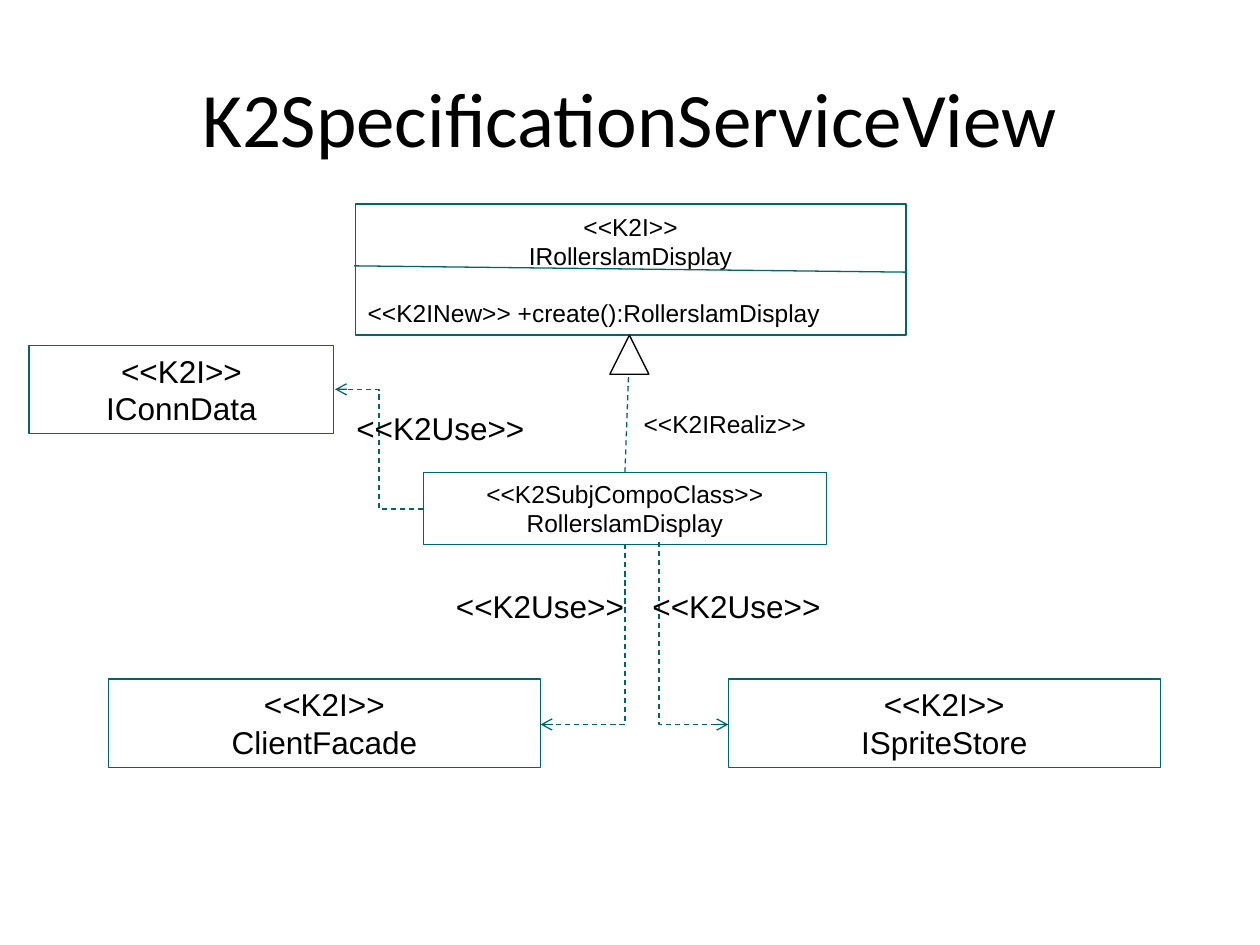
from pptx import Presentation
from pptx.dml.color import RGBColor
from pptx.enum.dml import MSO_LINE
from pptx.enum.shapes import MSO_CONNECTOR, MSO_SHAPE
from pptx.enum.text import MSO_ANCHOR, PP_ALIGN
from pptx.oxml.ns import qn
from pptx.util import Inches, Pt
from lxml import etree

CENTER, LEFT = PP_ALIGN.CENTER, PP_ALIGN.LEFT
MIDDLE, TOP = MSO_ANCHOR.MIDDLE, MSO_ANCHOR.TOP
STRAIGHT, ELBOW = MSO_CONNECTOR.STRAIGHT, MSO_CONNECTOR.ELBOW
RECTANGLE, TRIANGLE = MSO_SHAPE.RECTANGLE, MSO_SHAPE.ISOSCELES_TRIANGLE
DASH = MSO_LINE.DASH
COLORS = {"text": "000000", "line": "006666", "paper": "FFFFFF"}
COLUMNS, ROWS = 100, 75
WIDTH, HEIGHT = Inches(10), Inches(7.5)


def color(name):
    """Return a named colour."""
    return RGBColor.from_string(COLORS[name])


def grid(x, y):
    """Turn a column and a row into slide lengths."""
    return round(WIDTH * x / COLUMNS), round(HEIGHT * y / ROWS)


def place(shape, x, y, width, height):
    """Move and size a shape on the grid."""
    shape.left, shape.top = grid(x, y)
    shape.width, shape.height = grid(width, height)


def add_text(para, text, size, font="Arial", align=LEFT):
    """Write one formatted run into a paragraph."""
    para.alignment = align
    span = para.add_run()
    span.text = text
    span.font.name = font
    span.font.size = Pt(size)
    span.font.color.rgb = color("text")


def add_title(page, text):
    """Fill the title placeholder."""
    title = page.shapes.title
    place(title, 5, 3, 90, 12.5)
    title.text_frame.vertical_anchor = MIDDLE
    add_text(title.text_frame.paragraphs[0], text, 44, "Calibri", CENTER)


def add_outline(page, kind, area, line):
    """Draw an outlined preset shape."""
    x, y, width, height = area
    shape = page.shapes.add_shape(kind, *grid(x, y), *grid(width, height))
    shape.shadow.inherit = False
    shape.fill.background()
    shape.line.color.rgb = color(line)
    shape.line.width = Pt(0.75)
    return shape


def add_class(page, area, stereotype, name, size, operation=None):
    """Draw a class box with its stereotype, name and optional operation."""
    frame = add_outline(page, RECTANGLE, area, "line").text_frame
    frame.word_wrap = True
    frame.vertical_anchor = MIDDLE
    add_text(frame.paragraphs[0], stereotype, size, align=CENTER)
    add_text(frame.add_paragraph(), name, size, align=CENTER)
    if operation:
        para = frame.add_paragraph()
        para.space_before = Pt(16)
        add_text(para, operation, size)


def add_label(page, area, text, size, wrap=True):
    """Write a relation label."""
    x, y, width, height = area
    box = page.shapes.add_textbox(*grid(x, y), *grid(width, height))
    box.text_frame.word_wrap = wrap
    box.text_frame.vertical_anchor = TOP
    add_text(box.text_frame.paragraphs[0], text, size)


def add_link(page, start, end, kind=STRAIGHT, head=None, dashed=True):
    """Draw a connector with an optional arrowhead."""
    link = page.shapes.add_connector(kind, *grid(*start), *grid(*end))
    link.line.color.rgb = color("line")
    link.line.width = Pt(0.75)
    if dashed:
        link.line.dash_style = DASH
    if head:
        line = link.line._get_or_add_ln()
        etree.SubElement(line, qn("a:tailEnd")).set("type", head)
    etree.SubElement(link._element.spPr, qn("a:effectLst"))
    return link


def add_corner(page, start, end):
    """Draw an arrow that runs down and then turns sideways once."""
    (x1, y1), (x2, y2) = start, end
    link = add_link(page, start, end, ELBOW, "arrow")
    drop, reach = abs(y2 - y1), abs(x2 - x1)
    place(link, (x1 + x2 - drop) / 2, (y1 + y2 - reach) / 2, drop, reach)
    properties = link._element.spPr
    frame = properties.find(qn("a:xfrm"))
    frame.attrib.clear()
    rightward = x2 > x1
    frame.set("rot", str((270 if rightward else 90) * 60000))
    if rightward:
        frame.set("flipH", "1")
    properties.find(qn("a:prstGeom")).set("prst", "bentConnector2")


def main():
    """Build the service view slide."""
    deck = Presentation()
    deck.slide_width, deck.slide_height = WIDTH, HEIGHT
    page = deck.slides.add_slide(deck.slide_layouts[5])
    add_link(page, (49.6, 37.5), (50, 26.6), head="triangle")
    add_title(page, "K2SpecificationServiceView")
    add_class(page, (33.6, 37.5, 32, 5.7), "<<K2SubjCompoClass>>",
              "RollerslamDisplay", 14)
    add_class(page, (28.2, 16.2, 43.7, 10.4), "<<K2I>>", "IRollerslamDisplay",
              14, "<<K2INew>> +create():RollerslamDisplay")
    add_link(page, (28.1, 21.1), (71.9, 21.6), dashed=False)
    add_label(page, (50.1, 32, 14.9, 3.4), "<<K2IRealiz>>", 14, wrap=False)
    arrowhead = add_outline(page, TRIANGLE, (48.4, 26.6, 3.1, 3.1), "text")
    arrowhead.fill.solid()
    arrowhead.fill.fore_color.rgb = color("paper")
    for area, name in (
        ((8.6, 53.9, 34.3, 7), "ClientFacade"),
        ((57.8, 53.9, 34.3, 7), "ISpriteStore"),
        ((2.3, 27.4, 24.2, 7), "IConnData"),
    ):
        add_class(page, area, "<<K2I>>", name, 18)
    add_corner(page, (49.6, 43.2), (42.9, 57.5))
    add_corner(page, (52.3, 43), (57.8, 57.5))
    add_link(page, (33.6, 40.4), (26.6, 30.9), ELBOW, "arrow")
    for x, y in ((35.2, 46.1), (50.8, 46.1), (27.3, 32)):
        add_label(page, (x, y, 17.2, 4), "<<K2Use>>", 18)
    deck.save("out.pptx")


if __name__ == "__main__":
    main()
